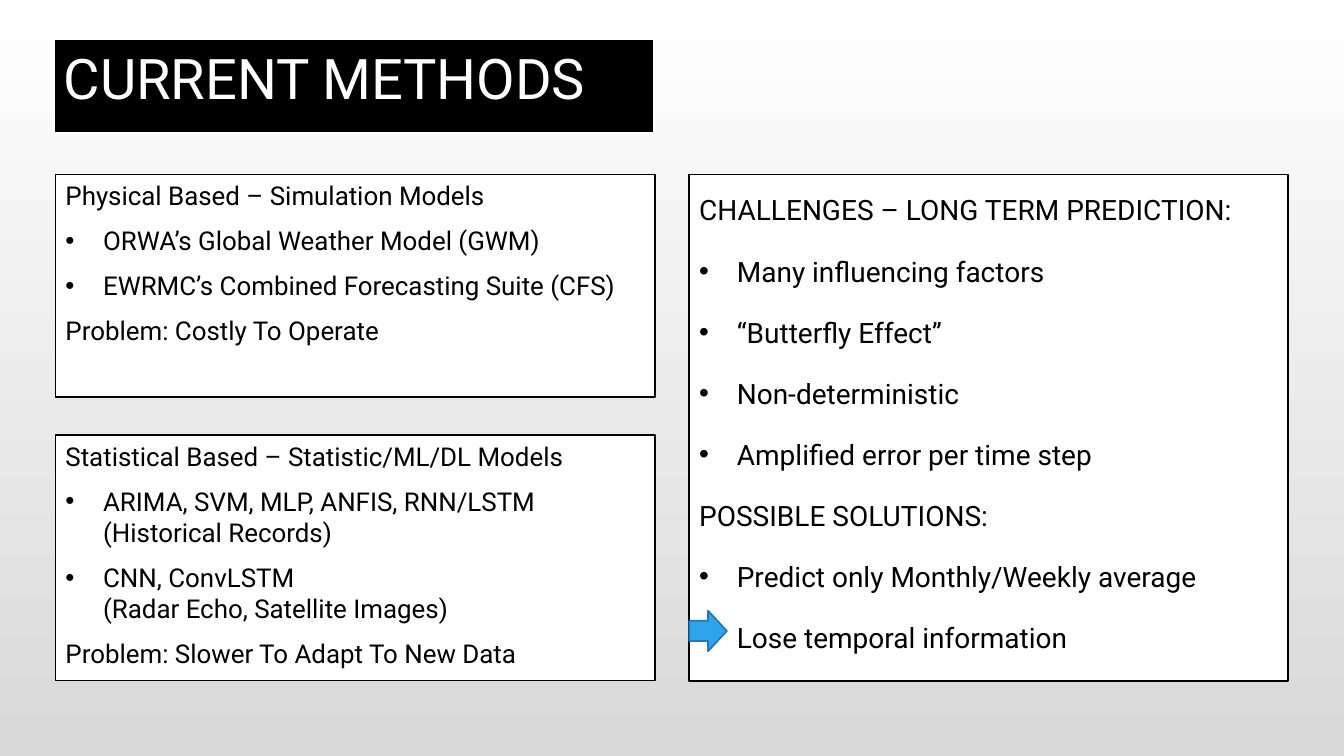
from lxml import etree
from pptx import Presentation
from pptx.dml.color import RGBColor
from pptx.enum.shapes import MSO_SHAPE
from pptx.enum.text import MSO_ANCHOR, MSO_AUTO_SIZE, PP_ALIGN
from pptx.oxml.ns import qn
from pptx.util import Cm, Pt

RECTANGLE = MSO_SHAPE.RECTANGLE
RIGHT_ARROW = MSO_SHAPE.RIGHT_ARROW
TOP = MSO_ANCHOR.TOP
NO_AUTOFIT = MSO_AUTO_SIZE.NONE
LEFT = PP_ALIGN.LEFT
JUSTIFY = PP_ALIGN.JUSTIFY

BLACK = RGBColor(0x00, 0x00, 0x00)
WHITE = RGBColor(0xFF, 0xFF, 0xFF)
GREY = RGBColor(0xD9, 0xD9, 0xD9)
BLUE = RGBColor(0x2F, 0xA3, 0xEE)
DARK_BLUE = RGBColor(0x23, 0x79, 0xB0)

LEFT_COLUMN, RIGHT_COLUMN = 1.4, 17.37
PANEL_TOP, PANEL_WIDTH = 4.4, 15.1
BULLET = "• "

PHYSICAL = [
    "Physical Based – Simulation Models",
    "• ORWA’s Global Weather Model (GWM)",
    "• EWRMC’s Combined Forecasting Suite (CFS)",
    "Problem: Costly To Operate",
]
STATISTICAL = [
    "Statistical Based – Statistic/ML/DL Models",
    "• ARIMA, SVM, MLP, ANFIS, RNN/LSTM\n(Historical Records)",
    "• CNN, ConvLSTM\n(Radar Echo, Satellite Images)",
    "Problem: Slower To Adapt To New Data",
]
CHALLENGES = [
    "CHALLENGES – LONG TERM PREDICTION:",
    "• Many influencing factors",
    "• “Butterfly Effect”",
    "• Non-deterministic",
    "• Amplified error per time step",
    "POSSIBLE SOLUTIONS:",
    "• Predict only Monthly/Weekly average",
    "• Lose temporal information",
]


class SlideBuilder:
    font_name = "Roboto"
    bullet_indent = Cm(0.95)

    def __init__(self, slide):
        self.slide = slide

    def background(self, top_color, bottom_color):
        fill = self.slide.background.fill
        fill.gradient()
        fill.gradient_angle = 270
        for stop, color, position in zip(fill.gradient_stops, (top_color, bottom_color), (0, 1)):
            stop.color.rgb = color
            stop.position = position

    def paint(self, shape, fill_color, line_color, line_width=1.25):
        shape.fill.solid()
        shape.fill.fore_color.rgb = fill_color
        shape.line.color.rgb = line_color
        shape.line.width = Pt(line_width)

    def frame(self, shape):
        text_frame = shape.text_frame
        text_frame.word_wrap = True
        text_frame.auto_size = NO_AUTOFIT
        text_frame.vertical_anchor = TOP
        return text_frame

    def add_text(self, paragraph, text, size, color):
        for index, line in enumerate(text.split("\n")):
            if index:
                paragraph.add_line_break()
            run = paragraph.add_run()
            run.text = line
            run.font.name = self.font_name
            run.font.size = Pt(size)
            run.font.color.rgb = color

    def bullet(self, paragraph):
        properties = paragraph._p.get_or_add_pPr()
        properties.set("marL", str(self.bullet_indent))
        properties.set("indent", str(-self.bullet_indent))
        etree.SubElement(properties, qn("a:buFont")).set("typeface", "Arial")
        etree.SubElement(properties, qn("a:buChar")).set("char", BULLET.strip())

    def title(self, text, left, top, width, height):
        title = self.slide.shapes.title
        title.left, title.top, title.width, title.height = map(Cm, (left, top, width, height))
        self.paint(title, BLACK, WHITE, 1.75)
        paragraph = self.frame(title).paragraphs[0]
        paragraph.alignment = LEFT
        self.add_text(paragraph, text, 40, WHITE)

    def shape(self, kind, left, top, width, height, fill_color, line_color):
        shape = self.slide.shapes.add_shape(kind, *map(Cm, (left, top, width, height)))
        shape.shadow.inherit = False
        self.paint(shape, fill_color, line_color)
        return shape

    def panel(self, lines, left, top, height, size=18.5, alignment=LEFT, spacing=1.0):
        panel = self.shape(RECTANGLE, left, top, PANEL_WIDTH, height, WHITE, BLACK)
        text_frame = self.frame(panel)
        for index, line in enumerate(lines):
            paragraph = text_frame.add_paragraph() if index else text_frame.paragraphs[0]
            paragraph.alignment = alignment
            paragraph.line_spacing = spacing
            paragraph.space_before = Pt(10)
            if line.startswith(BULLET):
                self.bullet(paragraph)
            self.add_text(paragraph, line.removeprefix(BULLET), size, BLACK)


def main():
    presentation = Presentation()
    presentation.slide_width = Cm(33.87)
    presentation.slide_height = Cm(19.05)
    title_only = presentation.slide_layouts[5]
    builder = SlideBuilder(presentation.slides.add_slide(title_only))

    builder.background(WHITE, GREY)
    builder.title("CURRENT METHODS", 1.35, 0.97, 15.14, 2.39)
    builder.panel(PHYSICAL, LEFT_COLUMN, PANEL_TOP, 5.61)
    builder.panel(STATISTICAL, LEFT_COLUMN, 10.97, 6.18)
    builder.panel(CHALLENGES, RIGHT_COLUMN, PANEL_TOP, 12.77, 20, JUSTIFY, 1.4)
    builder.shape(RIGHT_ARROW, RIGHT_COLUMN, 15.39, 0.95, 1.02, BLUE, DARK_BLUE)

    presentation.save("out.pptx")


if __name__ == "__main__":
    main()
